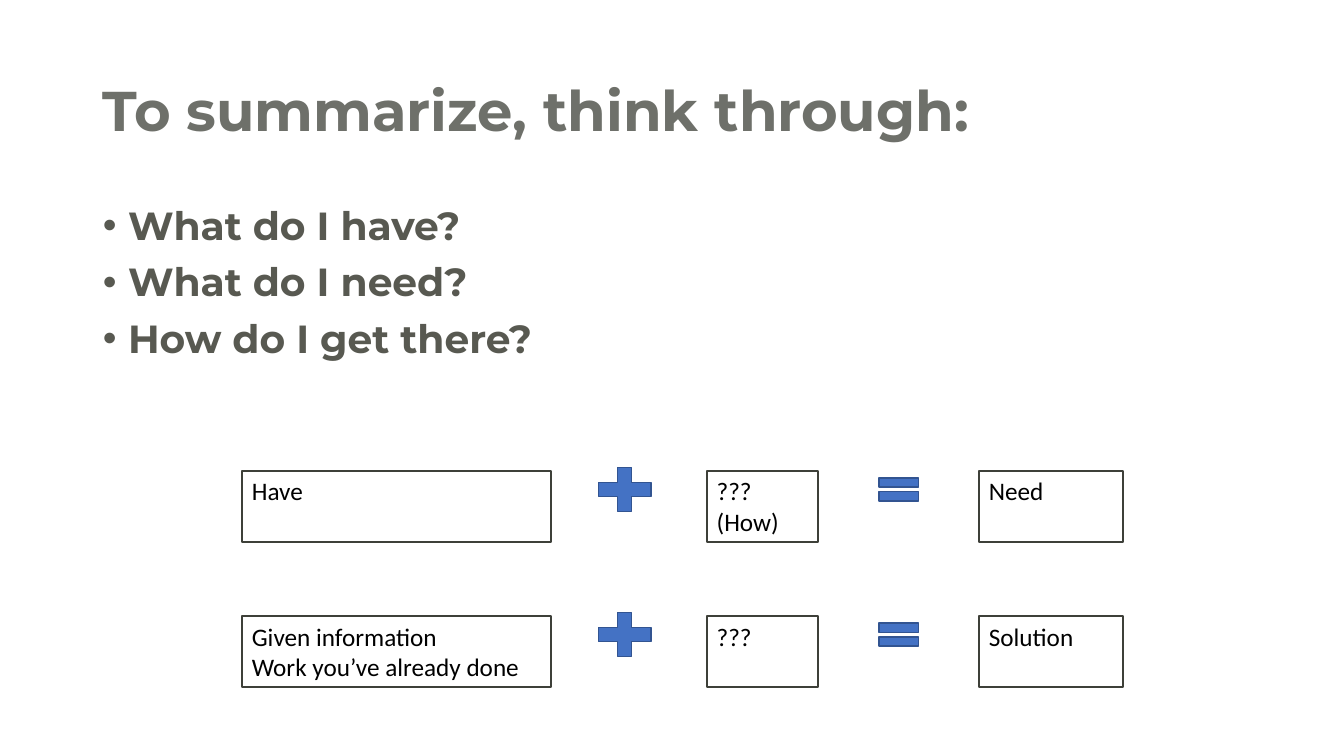
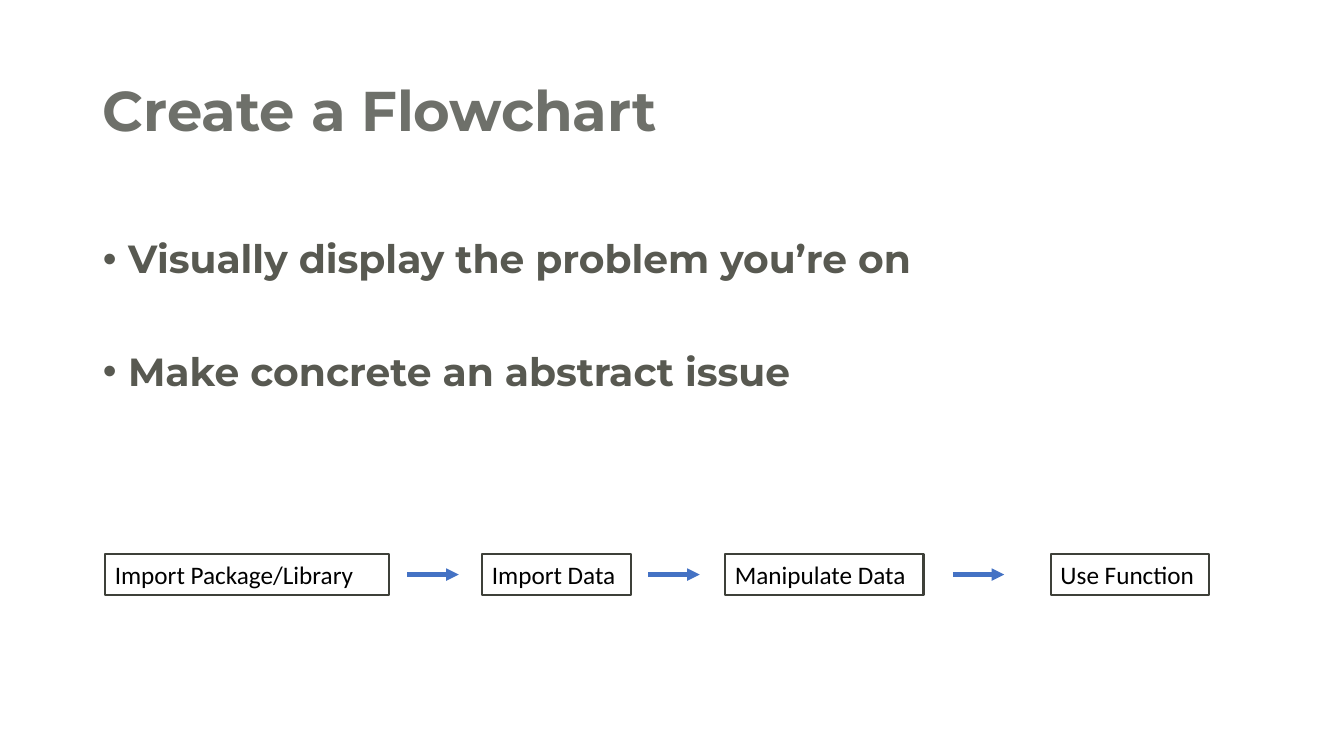
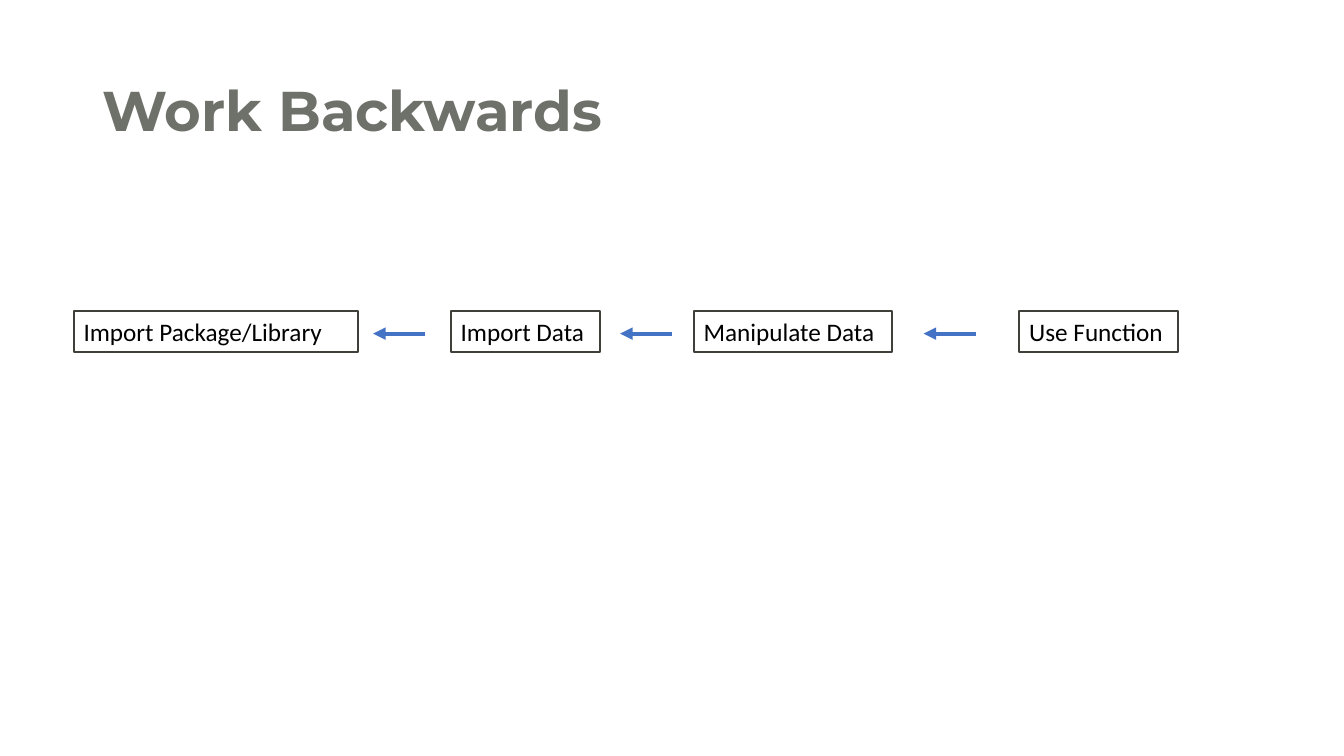
from dataclasses import dataclass

from lxml.etree import SubElement
from pptx import Presentation
from pptx.dml.color import RGBColor
from pptx.enum.shapes import MSO_CONNECTOR, MSO_SHAPE
from pptx.enum.text import MSO_ANCHOR, MSO_AUTO_SIZE, PP_ALIGN
from pptx.oxml.ns import qn
from pptx.util import Pt

EMU_PER_PX = 9144  # 100 px to the inch


def px(*lengths):
    return [length * EMU_PER_PX for length in lengths]


@dataclass(frozen=True)
class Theme:
    heading_font: str = "Montserrat"
    label_font: str = "Calibri"
    title_color: str = "6E706A"
    body_color: str = "585951"
    label_color: str = "000000"
    box_line: str = "3E4039"
    accent: str = "4472C4"
    accent_line: str = "325491"
    title_size: int = 40
    body_size: int = 28
    label_size: int = 18
    line_spacing: float = 0.9


def write(frame, text, *, font, size, color, bold=False, anchor=MSO_ANCHOR.TOP,
          spacing=None, gap=0, hanging=0):
    """Fill a text frame, one paragraph for each line of the text."""
    frame.word_wrap = True
    frame.auto_size = MSO_AUTO_SIZE.NONE
    frame.vertical_anchor = anchor
    for index, line in enumerate(text.split("\n")):
        paragraph = frame.add_paragraph() if index else frame.paragraphs[0]
        paragraph.alignment = PP_ALIGN.LEFT
        paragraph.line_spacing = spacing
        paragraph.space_before = Pt(gap if index else 0)
        if hanging:
            indent, = px(hanging)
            properties = paragraph._p.get_or_add_pPr()
            properties.set("marL", str(indent))
            properties.set("indent", str(-indent))
        run = paragraph.add_run()
        run.text = line
        run.font.name = font
        run.font.size = Pt(size)
        run.font.bold = bold
        run.font.color.rgb = RGBColor.from_string(color)


class Deck:
    TITLE_AND_BODY, TITLE_ONLY = 1, 5

    def __init__(self, theme):
        self.theme = theme
        self.presentation = Presentation()
        self.presentation.slide_width, self.presentation.slide_height = px(1333, 750)
        self.slide = None

    def start(self, title, layout):
        layouts = self.presentation.slide_layouts
        self.slide = self.presentation.slides.add_slide(layouts[layout])
        self.place(self.slide.shapes.title, 92, 40, 1150, 145)
        write(self.slide.shapes.title.text_frame, title, bold=True,
              font=self.theme.heading_font, size=self.theme.title_size,
              color=self.theme.title_color, anchor=MSO_ANCHOR.MIDDLE,
              spacing=self.theme.line_spacing)

    def place(self, part, *bounds):
        part.left, part.top, part.width, part.height = px(*bounds)

    def bullets(self, text, top, height, gap):
        body = self.slide.placeholders[1]
        self.place(body, 92, top, 1150, height)
        write(body.text_frame, text, bold=True, font=self.theme.heading_font,
              size=self.theme.body_size, color=self.theme.body_color,
              spacing=self.theme.line_spacing, gap=gap, hanging=25)

    def group(self):
        return self.slide.shapes.add_group_shape().shapes

    def shape(self, group, preset, bounds, line, width):
        part = group.add_shape(preset, *px(*bounds))
        part.shadow.inherit = False
        part.line.color.rgb = RGBColor.from_string(line)
        part.line.width = Pt(width)
        return part

    def box(self, group, text, *bounds):
        box = self.shape(group, MSO_SHAPE.RECTANGLE, bounds, self.theme.box_line, 1.5)
        box.fill.background()
        write(box.text_frame, text, font=self.theme.label_font,
              size=self.theme.label_size, color=self.theme.label_color)

    def sign(self, group, preset, *bounds):
        sign = self.shape(group, preset, bounds, self.theme.accent_line, 1)
        sign.fill.solid()
        sign.fill.fore_color.rgb = RGBColor.from_string(self.theme.accent)

    def arrow(self, group, start, end, y):
        arrow = group.add_connector(MSO_CONNECTOR.STRAIGHT, *px(start, y, end, y))
        arrow.line.color.rgb = RGBColor.from_string(self.theme.accent)
        arrow.line.width = Pt(3)
        SubElement(arrow.line._get_or_add_ln(), qn("a:tailEnd"), type="triangle")
        SubElement(arrow._element.spPr, qn("a:effectLst"))

    def equation(self, top, have, how, need):
        group = self.group()
        for text, left, width in ((have, 240, 307), (how, 701, 110), (need, 971, 143)):
            self.box(group, text, left, top, width, 71)
        self.sign(group, MSO_SHAPE.MATH_PLUS, 584, top - 11, 71, 59)
        self.sign(group, MSO_SHAPE.MATH_EQUAL, 865, top - 1, 53, 39)

    def flow(self, left, top, arrow_y, arrows, reach):
        """Draw the steps; a negative reach points the arrows backwards."""
        group = self.group()
        for step, offset, width in STEPS:
            self.box(group, step, left + offset, top, width, 40)
        for start in arrows:
            self.arrow(group, start, start + reach, arrow_y)


# Step, offset from the first step, width
STEPS = (
    ("Import Package/Library", 0, 282),
    ("Import Data", 374, 148),
    ("Manipulate Data", 615, 197),
    ("Use Function", 938, 157),
)


def main():
    deck = Deck(Theme())

    # Summary
    deck.start("To summarize, think through:", Deck.TITLE_AND_BODY)
    deck.bullets("What do I have?\nWhat do I need?\nHow do I get there?",
                 top=200, height=164, gap=10)
    deck.equation(467, "Have", "???\n(How)", "Need")
    deck.equation(611, "Given information\nWork you’ve already done", "???", "Solution")

    # Flowchart
    deck.start("Create a Flowchart", Deck.TITLE_AND_BODY)
    deck.bullets("Visually display the problem you’re on\nMake concrete an abstract issue",
                 top=233, height=167, gap=50)
    deck.flow(104, 550, arrow_y=570, arrows=(404, 643, 945), reach=51)

    # Flowchart in reverse
    deck.start("Work Backwards", Deck.TITLE_ONLY)
    deck.flow(73, 309, arrow_y=331, arrows=(422, 667, 968), reach=-52)

    deck.presentation.save("out.pptx")


if __name__ == "__main__":
    main()
